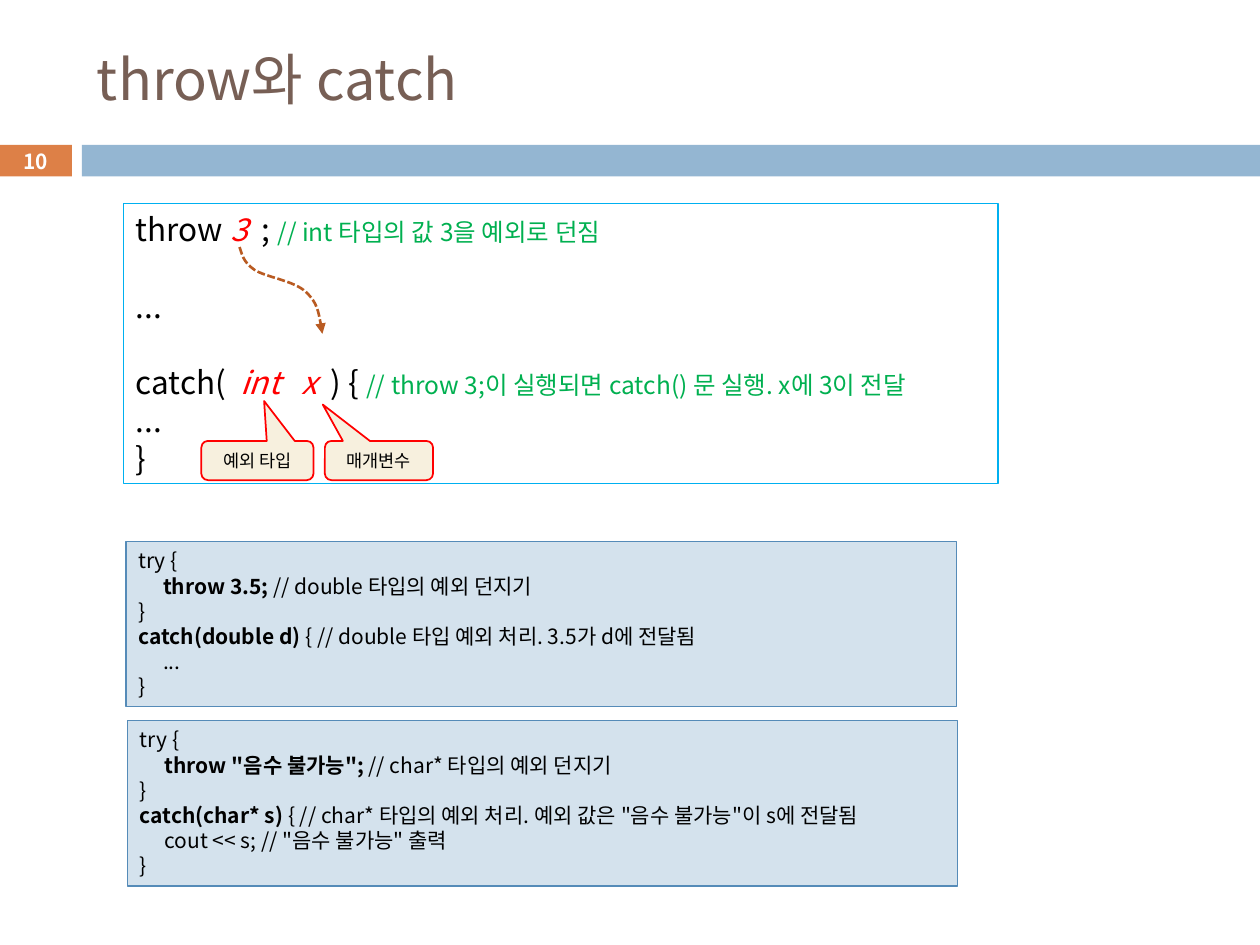
from dataclasses import dataclass

from lxml import etree
from pptx import Presentation
from pptx.dml.color import RGBColor
from pptx.enum.dml import MSO_LINE
from pptx.enum.shapes import MSO_SHAPE
from pptx.enum.text import MSO_ANCHOR, PP_ALIGN
from pptx.oxml.ns import qn
from pptx.util import Cm, Pt

RECTANGLE = MSO_SHAPE.RECTANGLE
CALLOUT = MSO_SHAPE.ROUNDED_RECTANGULAR_CALLOUT
MIDDLE, TOP = MSO_ANCHOR.MIDDLE, MSO_ANCHOR.TOP
LEFT, CENTER = PP_ALIGN.LEFT, PP_ALIGN.CENTER
DASH = MSO_LINE.SQUARE_DOT

FONT = "Noto Sans CJK KR"
COLORS = {
    "title": "775F55", "orange": "DD8047", "blue": "94B6D2",
    "black": "000000", "white": "FFFFFF", "red": "FF0000", "green": "00B050",
    "syntax line": "00B0F0", "example fill": "D4E2ED", "example line": "558BB8",
    "callout fill": "F7F0DE", "arrow": "B95B22",
}


@dataclass
class Piece:
    text: str
    size: float = 12
    color: str = "black"
    bold: bool = False
    italic: bool = False


@dataclass
class Line:
    pieces: list[Piece]
    gap_before: float = 0


@dataclass
class Box:
    left: float
    top: float
    width: float
    height: float
    fill: str | None = None
    line: str | None = None
    line_width: float = 0.75


@dataclass
class Callout:
    box: Box
    text: str
    tip: tuple[float, float]


@dataclass
class Example:
    box: Box
    lines: list[Line]


def code(text: str) -> Piece:
    return Piece(text, size=18)


def value(text: str) -> Piece:
    return Piece(text, size=18, color="red", italic=True)


def comment(text: str) -> Piece:
    return Piece(text, size=14, color="green")


def example_line(plain: str = "", bold: str = "", rest: str = "") -> Line:
    pieces = [Piece(plain), Piece(bold, bold=True), Piece(rest)]
    return Line([piece for piece in pieces if piece.text])


SYNTAX_PITCH, EXAMPLE_PITCH = 21.8, 14.4
SYNTAX_BOX = Box(2.49, 4.11, 17.63, 5.64, line="syntax line")
SYNTAX = [
    Line([code("throw "), value("3  "), code("; "),
          comment("// int 타입의 값 3을 예외로 던짐")]),
    Line([code("...")], gap_before=SYNTAX_PITCH),
    Line([code("catch(  "), value("int   x  "), code(") { "),
          comment("// throw 3;이 실행되면 catch() 문 실행. x에 3이 전달")],
         gap_before=SYNTAX_PITCH),
    Line([code("...")]),
    Line([code("}")]),
]
CALLOUTS = [
    Callout(Box(6.55, 8.89, 2.18, 0.79, "callout fill", "red", 1),
            "매개변수", (-0.52, -1.43)),
    Callout(Box(4.06, 8.89, 2.26, 0.79, "callout fill", "red", 1),
            "예외 타입", (0.06, -1.52)),
]
EXAMPLES = [
    Example(Box(2.54, 10.92, 16.74, 3.33, "example fill", "example line"), [
        example_line("try {"),
        example_line("\t", "throw 3.5; ", "// double 타입의 예외 던지기"),
        example_line("}"),
        example_line("", "catch(double d) ",
                     "{ // double 타입 예외 처리. 3.5가 d에 전달됨"),
        example_line("\t..."),
        example_line("}"),
    ]),
    Example(Box(2.57, 14.53, 16.74, 3.33, "example fill", "example line"), [
        example_line("try {"),
        example_line("\t", 'throw "음수 불가능"; ', "// char* 타입의 예외 던지기"),
        example_line("}"),
        example_line("", "catch(char* s) ",
                     '{ // char* 타입의 예외 처리. 예외 값은 "음수 불가능"이 s에 전달됨'),
        example_line('\tcout << s; // "음수 불가능" 출력'),
        example_line("}"),
    ]),
]
# Start point, then two control points and an end point for each curve.
ARROW_POINTS = [
    (4.83, 4.98),
    (4.88, 5.13), (4.90, 5.28), (5.13, 5.44),
    (5.36, 5.59), (5.94, 5.66), (6.17, 5.89),
    (6.40, 6.10), (6.45, 6.43), (6.50, 6.73),
]


def rgb(name: str) -> RGBColor:
    return RGBColor.from_string(COLORS[name])


def format_run(run, piece: Piece) -> None:
    font = run.font
    font.name, font.size = FONT, Pt(piece.size)
    font.bold, font.italic = piece.bold, piece.italic
    font.color.rgb = rgb(piece.color)
    etree.SubElement(run._r.get_or_add_rPr(), qn("a:ea"), typeface=FONT)


def set_label(shape, piece: Piece, alignment: PP_ALIGN) -> None:
    frame = shape.text_frame
    frame.text = piece.text
    frame.vertical_anchor = MIDDLE
    frame.paragraphs[0].alignment = alignment
    format_run(frame.paragraphs[0].runs[0], piece)


def add_box(slide, box: Box, kind: MSO_SHAPE = RECTANGLE):
    shape = slide.shapes.add_shape(
        kind, Cm(box.left), Cm(box.top), Cm(box.width), Cm(box.height))
    shape.shadow.inherit = False
    if box.fill:
        shape.fill.solid()
        shape.fill.fore_color.rgb = rgb(box.fill)
    else:
        shape.fill.background()
    if box.line:
        shape.line.color.rgb = rgb(box.line)
        shape.line.width = Pt(box.line_width)
    else:
        shape.line.fill.background()
    return shape


def add_code_box(slide, box: Box, lines: list[Line], pitch: float) -> None:
    frame = add_box(slide, box).text_frame
    frame.word_wrap = True
    frame.vertical_anchor = TOP
    for index, line in enumerate(lines):
        paragraph = frame.add_paragraph() if index else frame.paragraphs[0]
        paragraph.alignment = LEFT
        paragraph.line_spacing = Pt(pitch)
        paragraph.space_before = Pt(line.gap_before)
        tabs = etree.SubElement(paragraph._p.get_or_add_pPr(), qn("a:tabLst"))
        etree.SubElement(tabs, qn("a:tab"), pos=str(Cm(0.5)), algn="l")
        for piece in line.pieces:
            run = paragraph.add_run()
            run.text = piece.text
            format_run(run, piece)


def add_callout(slide, callout: Callout) -> None:
    shape = add_box(slide, callout.box, CALLOUT)
    shape.adjustments[0], shape.adjustments[1] = callout.tip
    shape.text_frame.word_wrap = False
    set_label(shape, Piece(callout.text, size=10), CENTER)


def add_curved_arrow(slide, points: list[tuple[float, float]]) -> None:
    """Draw a dashed arrow, turning each three line segments into one curve."""
    start, *others = [(Cm(x), Cm(y)) for x, y in points]
    builder = slide.shapes.build_freeform(*start)
    builder.add_line_segments(others, close=False)
    shape = builder.convert_to_shape()
    shape.shadow.inherit = False
    shape.fill.background()
    shape.line.color.rgb = rgb("arrow")
    shape.line.width = Pt(1.5)
    shape.line.dash_style = DASH
    segments = list(shape._element.iter(qn("a:lnTo")))
    for first in range(0, len(segments), 3):
        curve = etree.SubElement(segments[first].getparent(), qn("a:cubicBezTo"))
        for segment in segments[first:first + 3]:
            curve.append(segment[0])
            segment.getparent().remove(segment)
    etree.SubElement(shape.line._get_or_add_ln(), qn("a:tailEnd"), type="triangle")


def main() -> None:
    presentation = Presentation()
    presentation.slide_width, presentation.slide_height = Cm(25.4), Cm(19.05)
    slide = presentation.slides.add_slide(presentation.slide_layouts[5])
    title = slide.shapes.title
    title.left, title.top, title.width, title.height = (
        Cm(1.7), Cm(0.64), Cm(22.66), Cm(1.88))
    set_label(title, Piece("throw와 catch", size=32, color="title"), LEFT)

    number = add_box(slide, Box(0, 2.92, 1.45, 0.64, "orange"))
    set_label(number, Piece("10", size=11.9, color="white", bold=True), CENTER)
    add_box(slide, Box(1.65, 2.92, 23.75, 0.64, "blue"))

    add_code_box(slide, SYNTAX_BOX, SYNTAX, SYNTAX_PITCH)
    for callout in CALLOUTS:
        add_callout(slide, callout)
    add_curved_arrow(slide, ARROW_POINTS)
    for example in EXAMPLES:
        add_code_box(slide, example.box, example.lines, EXAMPLE_PITCH)
    presentation.save("out.pptx")


if __name__ == "__main__":
    main()
